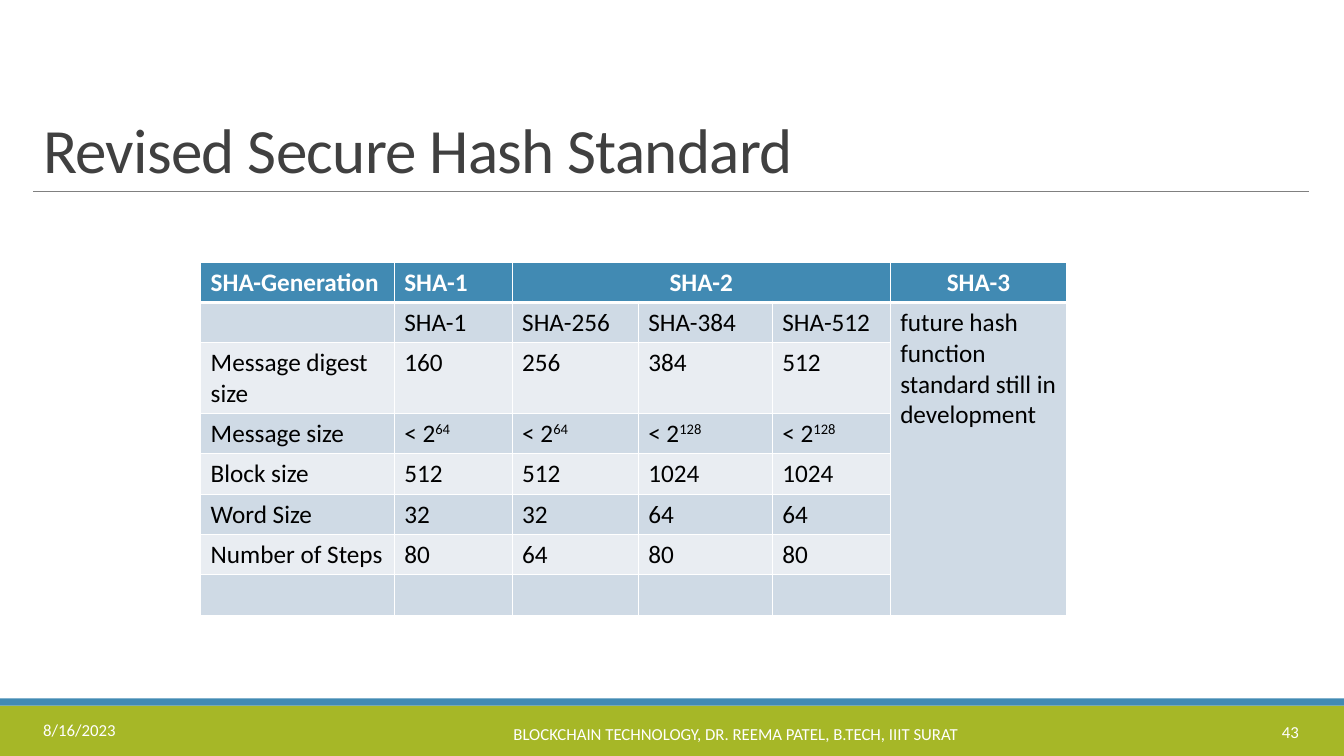
from lxml.etree import SubElement
from pptx import Presentation
from pptx.dml.color import RGBColor
from pptx.enum.shapes import MSO_CONNECTOR, MSO_SHAPE
from pptx.enum.text import MSO_ANCHOR, PP_ALIGN
from pptx.oxml import parse_xml
from pptx.oxml.ns import nsdecls, qn
from pptx.util import Inches, Pt

# Content: "^" starts a superscript, None is a cell covered by a merge
TITLE = "Revised Secure Hash Standard"
FOOTERS = [
    ("8/16/2023", (0.33, 7.04, 2.7, 0.4), PP_ALIGN.LEFT),
    ("BLOCKCHAIN TECHNOLOGY, DR. REEMA PATEL, B.TECH, IIIT SURAT",
     (3.25, 7.06, 8.1, 0.44), PP_ALIGN.CENTER),
    ("43", (11.55, 7.06, 1.43, 0.4), PP_ALIGN.RIGHT),
]
ROWS = [
    ["SHA-Generation", "SHA-1", "SHA-2", None, None, "SHA-3"],
    ["", "SHA-1", "SHA-256", "SHA-384", "SHA-512",
     "future hash function standard still in development"],
    ["Message digest size", "160", "256", "384", "512", None],
    ["Message size", "< 2^64", "< 2^64", "< 2^128", "< 2^128", None],
    ["Block size", "512", "512", "1024", "1024", None],
    ["Word Size", "32", "32", "64", "64", None],
    ["Number of Steps", "80", "64", "80", "80", None],
    ["", "", "", "", "", None],
]
MERGES = [((0, 2), (0, 4)), ((1, 5), (7, 5))]
CENTERED = {(0, 2), (0, 5)}
COLUMN_WIDTHS = [1.92, 1.17, 1.25, 1.33, 1.17, 1.75]
ROW_HEIGHT = 0.4

COLORS = {
    "green": "A6B727", "blue": "418AB3", "rule": "808080", "title": "404040",
    "white": "FFFFFF", "black": "000000", "odd": "CFDAE5", "even": "E9EDF2",
}
TITLE_FORMAT = {"size": Pt(45), "name": "Calibri"}
FOOTER_FORMAT = {"size": Pt(12), "name": "Calibri"}
HEADER_FORMAT = {"size": Pt(18), "name": "Calibri", "bold": True}
BODY_FORMAT = {"size": Pt(18), "name": "Calibri", "bold": False}


def color(name):
    return RGBColor.from_string(COLORS[name])


def add_run(paragraph, text, font_format, color_name):
    run = paragraph.add_run()
    run.text = text
    for attribute, value in font_format.items():
        setattr(run.font, attribute, value)
    run.font.color.rgb = color(color_name)
    return run


def add_text(slide, box, text, font_format, color_name, align, anchor):
    frame = slide.shapes.add_textbox(*map(Inches, box)).text_frame
    frame.word_wrap = True
    frame.vertical_anchor = anchor
    paragraph = frame.paragraphs[0]
    paragraph.alignment = align
    return paragraph, add_run(paragraph, text, font_format, color_name)


def add_band(slide, top, height, color_name):
    band = slide.shapes.add_shape(
        MSO_SHAPE.RECTANGLE, 0, Inches(top), Inches(13.33), Inches(height))
    band.shadow.inherit = False
    band.fill.solid()
    band.fill.fore_color.rgb = color(color_name)
    band.line.fill.background()


def set_borders(cell, row):
    widths = {"L": 1, "R": 1, "T": 3 if row == 1 else 1, "B": 3 if row == 0 else 1}
    properties = cell._tc.get_or_add_tcPr()
    for index, (side, width) in enumerate(widths.items()):
        properties.insert(index, parse_xml(
            f'<a:ln{side} {nsdecls("a")} w="{Pt(width)}"><a:solidFill>'
            f'<a:srgbClr val="{COLORS["white"]}"/></a:solidFill></a:ln{side}>'))


def fill_cell(cell, row, column, text):
    cell.fill.solid()
    cell.fill.fore_color.rgb = color(
        "blue" if row == 0 else "odd" if row % 2 else "even")
    set_borders(cell, row)
    paragraph = cell.text_frame.paragraphs[0]
    if (row, column) in CENTERED:
        paragraph.alignment = PP_ALIGN.CENTER
    if not text:
        SubElement(paragraph._p, qn("a:endParaRPr"), sz="1800")
        return
    font_format, ink = (HEADER_FORMAT, "white") if row == 0 else (BODY_FORMAT, "black")
    base, _, power = text.partition("^")
    add_run(paragraph, base, font_format, ink)
    if power:
        run = add_run(paragraph, power, font_format, ink)
        run._r.get_or_add_rPr().set("baseline", "30000")


def add_hash_table(slide):
    table = slide.shapes.add_table(
        len(ROWS), len(COLUMN_WIDTHS), Inches(1.99), Inches(2.6),
        Inches(sum(COLUMN_WIDTHS)), Inches(ROW_HEIGHT * len(ROWS))).table
    for column, width in zip(table.columns, COLUMN_WIDTHS):
        column.width = Inches(width)
    for row in table.rows:
        row.height = Inches(ROW_HEIGHT)
    for start, end in MERGES:
        table.cell(*start).merge(table.cell(*end))
    for row, texts in enumerate(ROWS):
        for column, text in enumerate(texts):
            fill_cell(table.cell(row, column), row, column, text)


def main():
    presentation = Presentation()
    presentation.slide_width = Inches(13.33)
    presentation.slide_height = Inches(7.5)
    slide = presentation.slides.add_slide(presentation.slide_layouts[6])

    # Footer bands and title rule
    add_band(slide, 7, 0.5, "green")
    add_band(slide, 6.93, 0.07, "blue")
    rule = slide.shapes.add_connector(
        MSO_CONNECTOR.STRAIGHT, Inches(0.33), Inches(1.9), Inches(12.98), Inches(1.9))
    rule.line.color.rgb = color("rule")
    rule.line.width = Pt(0.5)
    SubElement(rule._element.spPr, qn("a:effectLst"))

    # Title
    paragraph, run = add_text(slide, (0.33, 0.31, 12.65, 1.59), TITLE, TITLE_FORMAT,
                              "title", PP_ALIGN.LEFT, MSO_ANCHOR.BOTTOM)
    paragraph.line_spacing = 0.85
    run._r.get_or_add_rPr().set("spc", "-50")

    # Footer texts
    for text, box, align in FOOTERS:
        add_text(slide, box, text, FOOTER_FORMAT, "white", align, MSO_ANCHOR.MIDDLE)

    add_hash_table(slide)
    presentation.save("out.pptx")


if __name__ == "__main__":
    main()
